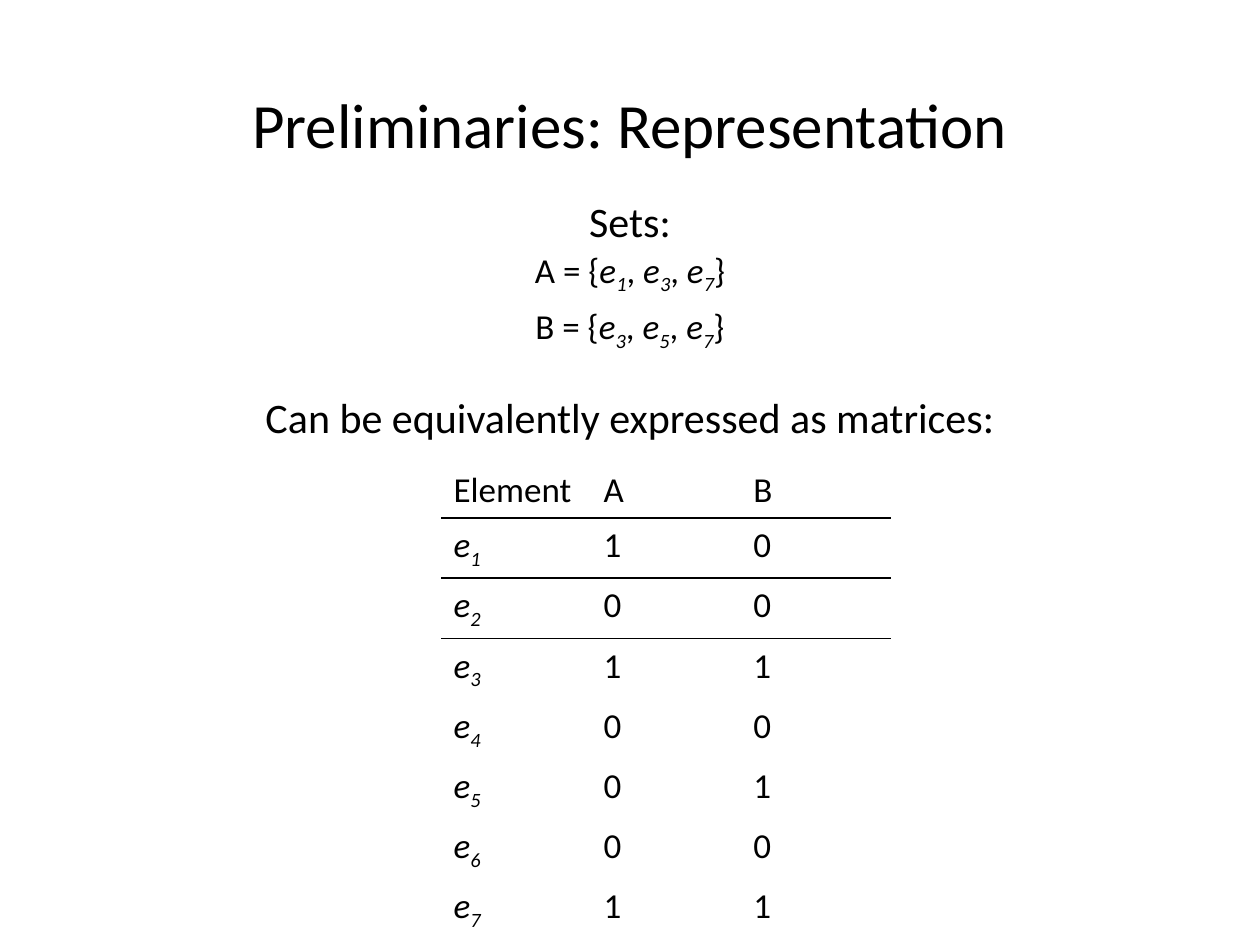
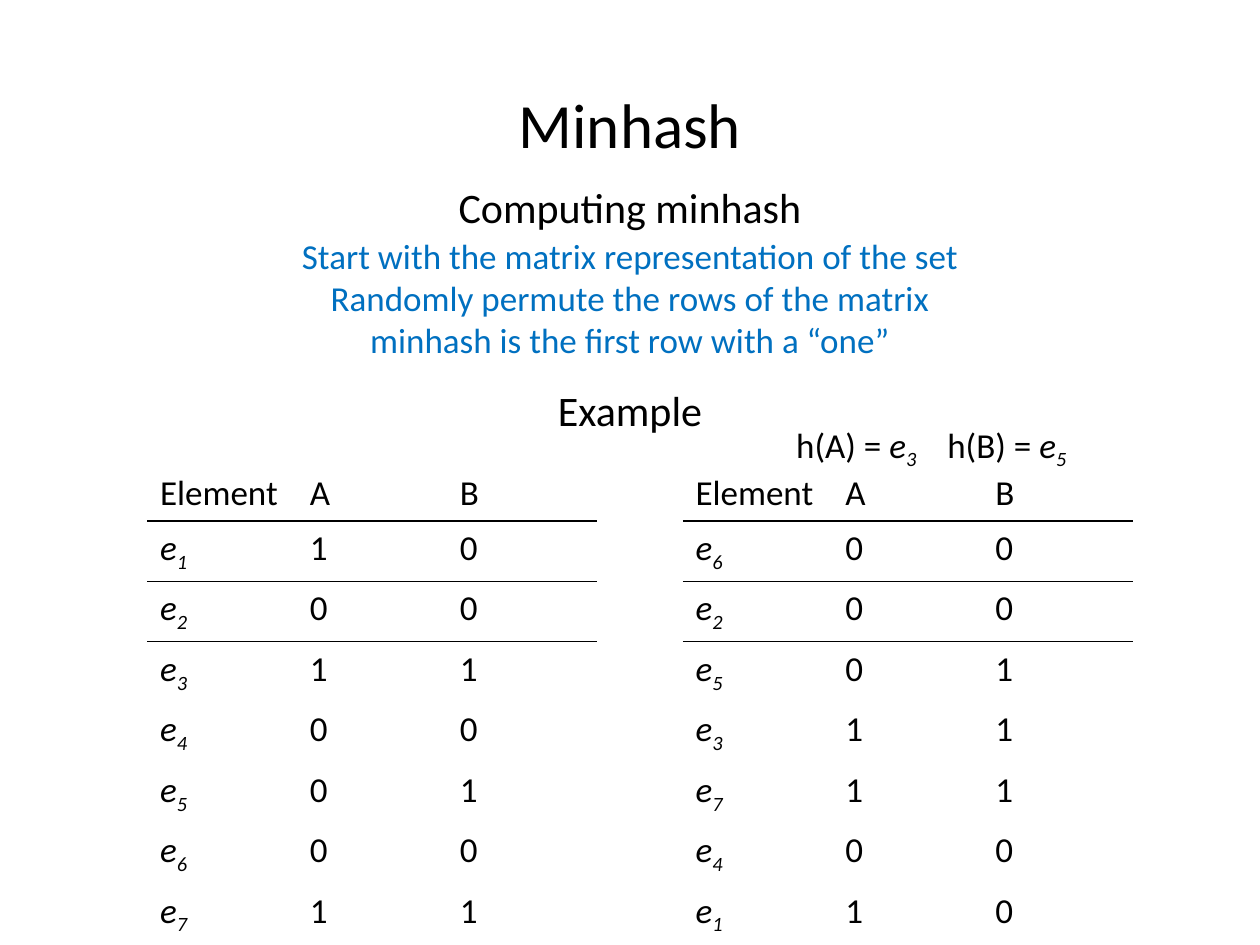
from dataclasses import dataclass

from lxml.etree import SubElement
from pptx import Presentation
from pptx.dml.color import RGBColor
from pptx.enum.text import MSO_ANCHOR as Anchor, MSO_AUTO_SIZE as AutoSize, PP_ALIGN as Align
from pptx.oxml import parse_xml
from pptx.oxml.ns import nsdecls, qn
from pptx.util import Inches, Pt


@dataclass(frozen=True)
class Theme:
    """Colours, font, sizes and table style shared by the slides."""
    font: str = "Calibri"
    ink: str = "000000"
    accent: str = "0070C0"
    title: int = 36
    heading: int = 24
    body: int = 20
    rule: int = 1
    plain_table: str = "{2D5ABB26-0587-4C30-8999-92F81FD0307C}"


THEME = Theme()
PAGE_WIDTH, PAGE_HEIGHT = 10, 7.5
COLUMN_WIDTH, ROW_HEIGHT = 1.19, 0.41
MEMBERS = {"A": (1, 3, 7), "B": (3, 5, 7)}
ORIGINAL_ORDER = range(1, 8)
PERMUTED_ORDER = (6, 2, 5, 3, 7, 4, 1)


def element(index):
    """Mark up an element number for write_spans."""
    return f"|{index}|"


def write_spans(para, text, size=THEME.body, color=THEME.ink):
    """Write text, turning each |n| into an italic e with subscript n."""
    def add_span(piece, italic=False):
        span = para.add_run()
        span.text = piece
        span.font.name = THEME.font
        span.font.size = Pt(size)
        span.font.italic = italic
        span.font.color.rgb = RGBColor.from_string(color)
        return span

    for position, piece in enumerate(text.split("|")):
        if position % 2:
            add_span("e", italic=True)
            subscript = add_span(piece, italic=True)
            subscript.font._element.set("baseline", "-25000")
        elif piece:
            add_span(piece)


def add_text(page, text, top, height, left=0, width=PAGE_WIDTH, align=Align.CENTER,
             wrap=True, grow=True, anchor=Anchor.TOP, gap=0, **style):
    """Add a text box with one paragraph per line of text."""
    box = page.shapes.add_textbox(Inches(left), Inches(top), Inches(width), Inches(height))
    frame = box.text_frame
    frame.word_wrap = wrap
    frame.auto_size = AutoSize.SHAPE_TO_FIT_TEXT if grow else AutoSize.NONE
    frame.vertical_anchor = anchor
    for index, line in enumerate(text.split("\n")):
        para = frame.add_paragraph() if index else frame.paragraphs[0]
        para.alignment = align
        para.space_before = Pt(gap if index else 0)
        write_spans(para, line, **style)


def add_title(page, text):
    """Add the slide title."""
    add_text(page, text, 0.6, 0.75, grow=False, anchor=Anchor.MIDDLE, size=THEME.title)


def add_heading(page, text, top):
    """Add a centred section heading."""
    add_text(page, text, top, 0.5, size=THEME.heading)


def add_rule(cell, side):
    """Draw a thin rule on one side of a table cell."""
    line = parse_xml(f'<a:{side} {nsdecls("a")} w="{Pt(THEME.rule)}"/>')
    fill = SubElement(line, qn("a:solidFill"))
    SubElement(fill, qn("a:srgbClr"), val=THEME.ink)
    cell._tc.get_or_add_tcPr().insert(0, line)


def add_matrix(page, left, top, order):
    """Add the membership matrix with its elements in the given order."""
    rows = [["Element", *MEMBERS]]
    for index in order:
        bits = [str(int(index in members)) for members in MEMBERS.values()]
        rows.append([element(index), *bits])
    columns = len(rows[0])
    frame = page.shapes.add_table(len(rows), columns, Inches(left), Inches(top),
                                  Inches(COLUMN_WIDTH * columns), Inches(ROW_HEIGHT * len(rows)))
    table = frame.table
    table.first_row = table.horz_banding = False
    next(frame.element.iter(qn("a:tableStyleId"))).text = THEME.plain_table
    for row_index, row in enumerate(rows):
        for column_index, text in enumerate(row):
            cell = table.cell(row_index, column_index)
            cell.fill.background()
            write_spans(cell.text_frame.paragraphs[0], text)
            if row_index in (0, 1):
                add_rule(cell, "lnB")
            if row_index in (1, 2):
                add_rule(cell, "lnT")


def add_hash_labels(page, left, top):
    """Label each set with its first member in the permuted order."""
    for position, (name, members) in enumerate(MEMBERS.items()):
        first = next(index for index in PERMUTED_ORDER if index in members)
        add_text(page, f"h({name}) = {element(first)}", top, 0.44, left=left + 1.2 * position,
                 width=1.25, align=Align.LEFT, wrap=False)


def build_representation(page):
    """Build the slide that shows sets as a matrix."""
    add_matrix(page, 3.5, 3.67, ORIGINAL_ORDER)
    add_title(page, "Preliminaries: Representation")
    add_heading(page, "Sets:", 1.5)
    add_heading(page, "Can be equivalently expressed as matrices:", 3.06)
    sets = [f"{name} = {{{', '.join(map(element, members))}}}" for name, members in MEMBERS.items()]
    add_text(page, "\n".join(sets), 1.92, 0.84, gap=5)


def build_minhash(page):
    """Build the slide that computes a minhash by permuting rows."""
    for left, order in ((1.17, ORIGINAL_ORDER), (5.42, PERMUTED_ORDER)):
        add_matrix(page, left, 3.7, order)
    add_hash_labels(page, 6.22, 3.31)
    add_title(page, "Minhash")
    add_heading(page, "Computing minhash", 1.39)
    steps = ("Start with the matrix representation of the set",
             "Randomly permute the rows of the matrix",
             "minhash is the first row with a “one”")
    add_text(page, "\n".join(steps), 1.81, 1.11, color=THEME.accent)
    add_heading(page, "Example", 3)


def main():
    """Build and save the deck."""
    deck = Presentation()
    deck.slide_width, deck.slide_height = Inches(PAGE_WIDTH), Inches(PAGE_HEIGHT)
    for build in (build_representation, build_minhash):
        build(deck.slides.add_slide(deck.slide_layouts[6]))
    deck.save("out.pptx")


if __name__ == "__main__":
    main()
